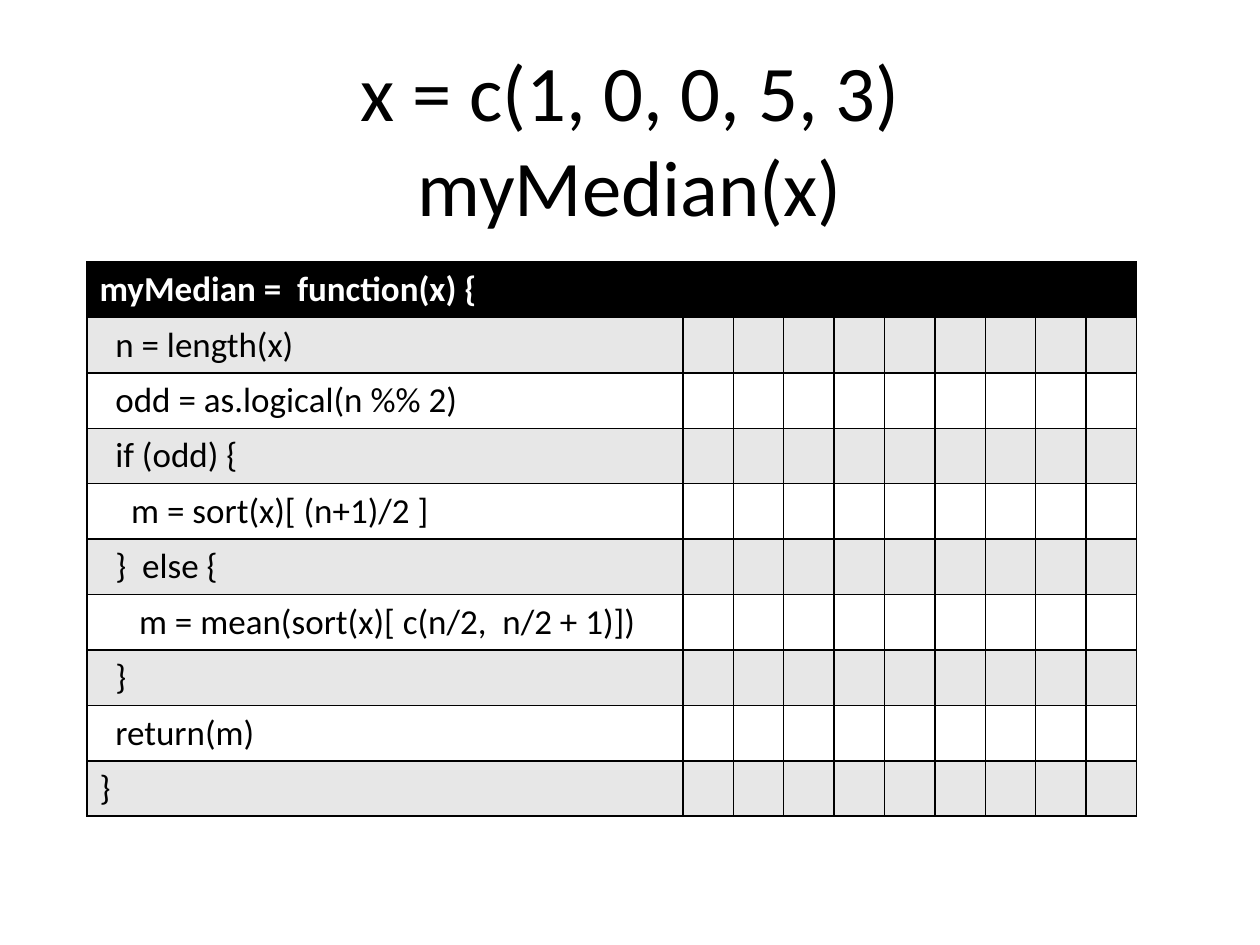
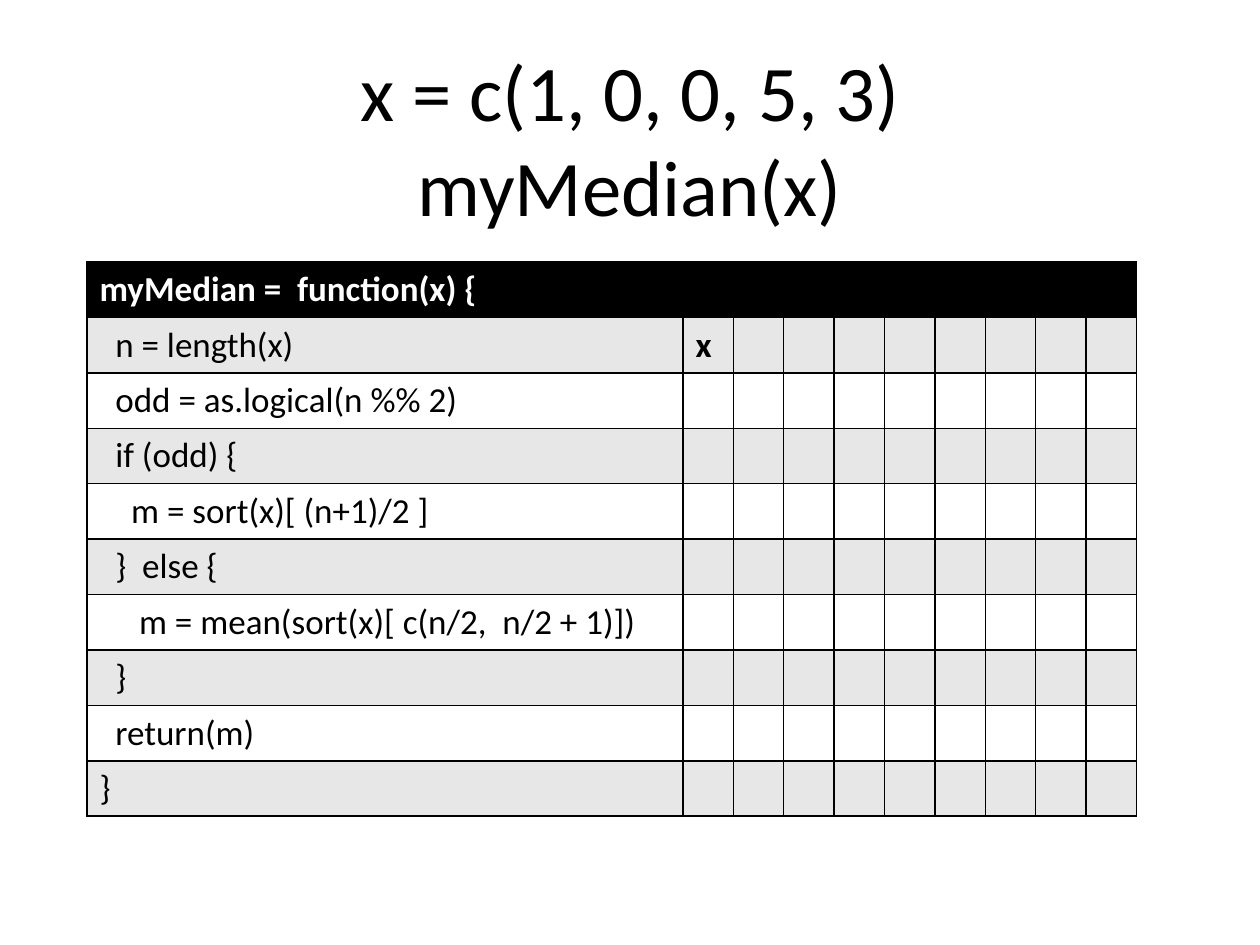
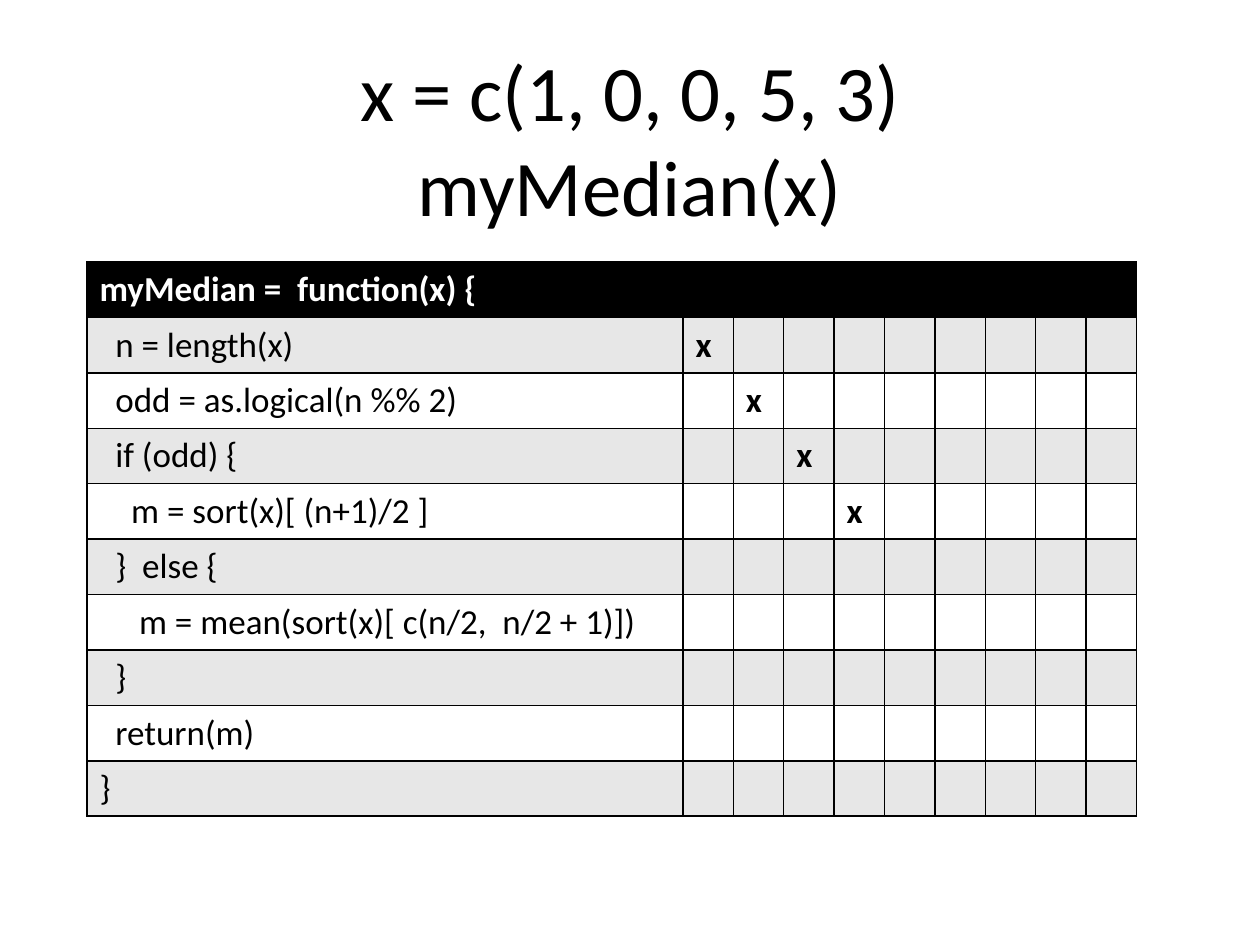
"""Step through myMedian(x) line by line in a trace table, over three slides."""
from pptx import Presentation
from pptx import util as u
from pptx.dml.color import RGBColor
from pptx.enum import text
from pptx.oxml import parse_xml
from pptx.oxml.ns import nsdecls

BLACK = RGBColor(0x00, 0x00, 0x00)
WHITE = RGBColor(0xFF, 0xFF, 0xFF)
BAND = RGBColor(0xE7, 0xE7, 0xE7)
FONT = "Calibri"
TITLE = "x = c(1, 0, 0, 5, 3)\vmyMedian(x)"
CODE = [
    (0, "myMedian =  function(x) {"),
    (2, "n = length(x)"),
    (2, "odd = as.logical(n %% 2)"),
    (2, "if (odd) {"),
    (4, "m = sort(x)[ (n+1)/2 ]"),
    (2, "}  else {"),
    (5, "m = mean(sort(x)[ c(n/2,  n/2 + 1)])"),
    (2, "}"),
    (2, "return(m)"),
    (0, "}"),
]
STEPS = 9
CODE_W, STEP_W, ROW_H = u.Inches(4.73), u.Inches(0.4), u.Inches(0.44)
MARGIN, INDENT = u.Inches(0.1), u.Pt(4.52)
TRACES = [0, 1, 4]


def style(p, size, color, bold=False):
    p.font.name, p.font.size, p.font.bold = FONT, u.Pt(size), bold
    p.font.color.rgb = color


def border(cell):
    for side in "LRTB":
        cell._tc.get_or_add_tcPr().append(parse_xml(
            f'<a:ln{side} {nsdecls("a")} w="12700"><a:solidFill>'
            f'<a:srgbClr val="{BLACK}"/></a:solidFill></a:ln{side}>'))


prs = Presentation()
prs.slide_width, prs.slide_height = u.Inches(10), u.Inches(7.5)
W, H = prs.slide_width, prs.slide_height

for done in TRACES:
    s = prs.slides.add_slide(prs.slide_layouts[6])
    sp = s.shapes.add_textbox(int(W * 0.05), int(H * 0.04), int(W * 0.9), u.Inches(1.25))
    tf = sp.text_frame
    tf.word_wrap = True
    tf.vertical_anchor = text.MSO_ANCHOR.TOP
    tf.margin_left = tf.margin_right = u.Inches(0.07)
    tf.margin_top = tf.margin_bottom = u.Inches(0.04)
    p = tf.paragraphs[0]
    p.text = TITLE
    p.alignment = text.PP_ALIGN.CENTER
    style(p, 45, BLACK)

    tbl = s.shapes.add_table(len(CODE), STEPS + 1, u.Inches(0.69), u.Inches(2.08),
                             CODE_W + STEPS * STEP_W, len(CODE) * ROW_H).table
    for col, column in enumerate(tbl.columns):
        column.width = STEP_W if col else CODE_W
    tbl.cell(0, 0).merge(tbl.cell(0, STEPS))
    for row, (spaces, code) in enumerate(CODE):
        tbl.rows[row].height = ROW_H
        for col in range(STEPS + 1):
            cell = tbl.cell(row, col)
            border(cell)
            cell.fill.solid()
            cell.fill.fore_color.rgb = BLACK if row == 0 else BAND if row % 2 else WHITE
            p = cell.text_frame.paragraphs[0]
            if col == 0:
                p.text = code
                cell.margin_left = MARGIN + spaces * INDENT
            elif row == col <= done:
                p.text = "x"
            style(p, 20, BLACK if row else WHITE, bold=row == 0 or col > 0)

prs.save("out.pptx")
